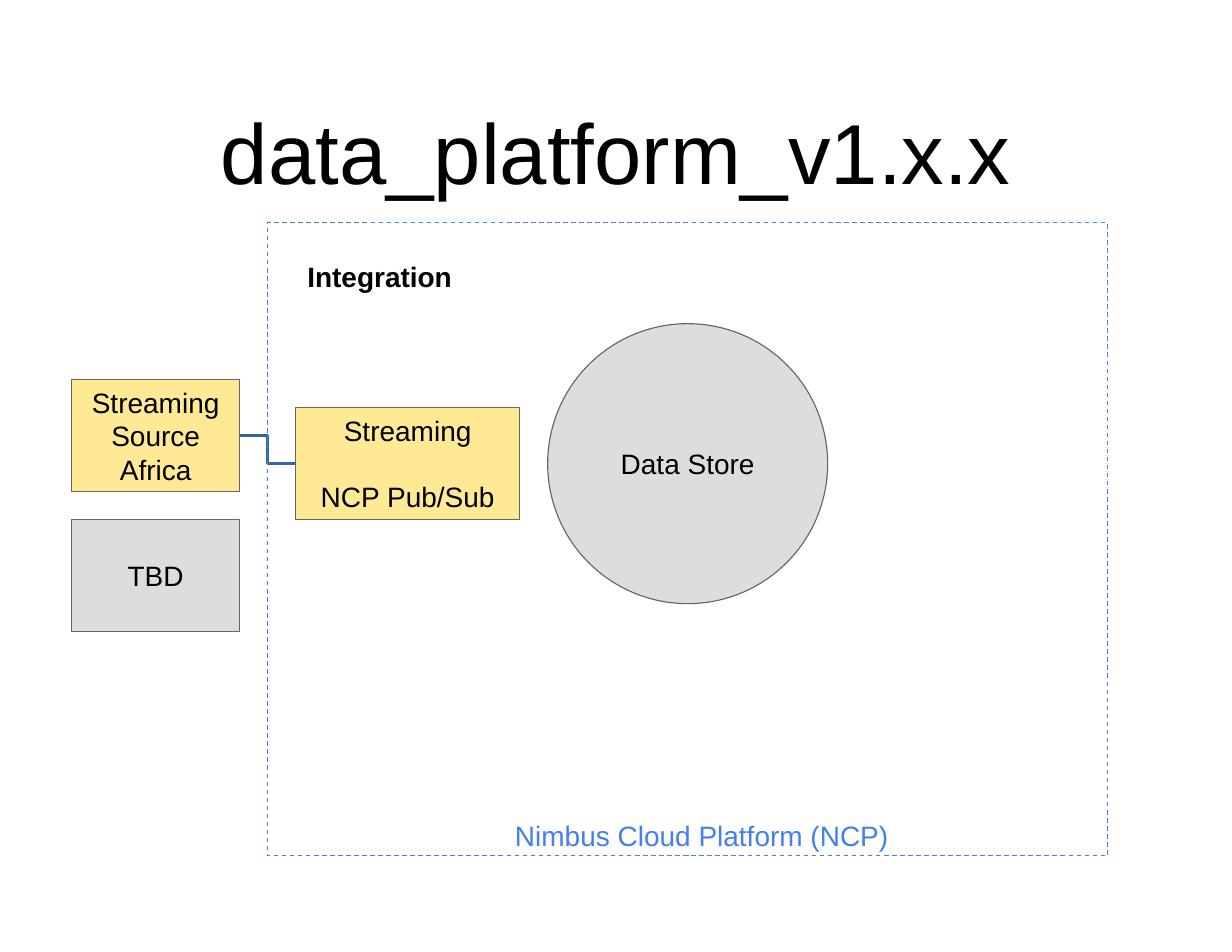
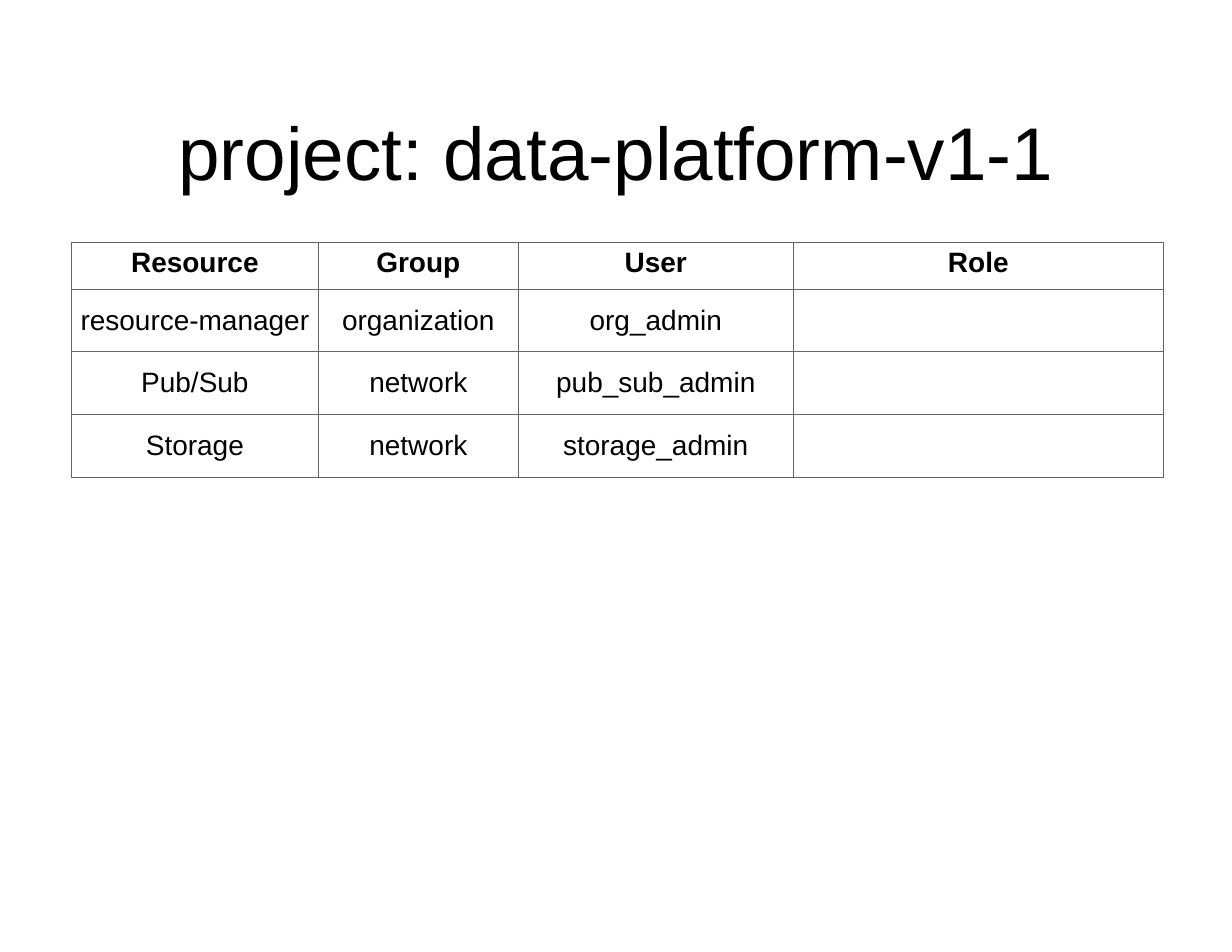
from lxml import etree
from pptx import Presentation
from pptx.dml.color import RGBColor
from pptx.enum.dml import MSO_LINE
from pptx.enum.shapes import MSO_CONNECTOR, MSO_SHAPE
from pptx.enum.text import MSO_ANCHOR, PP_ALIGN
from pptx.oxml.ns import qn
from pptx.util import Inches, Pt

RECT, OVAL = MSO_SHAPE.RECTANGLE, MSO_SHAPE.OVAL
ELBOW, DASH = MSO_CONNECTOR.ELBOW, MSO_LINE.DASH
TOP, MID, CENTER = MSO_ANCHOR.TOP, MSO_ANCHOR.MIDDLE, PP_ALIGN.CENTER
LEFT, RIGHT = 1, 3

HUES = {"ink": "000000", "edge": "666666", "gold": "FFE994",
        "gray": "DDDDDD", "blue": "4280EF", "link": "3465A4"}
FONT = "Arial"
BODY = 18
LINE = 20.7
PAD = (0.1, 0.05)
EDGE = 0.64
TITLE = (0.9, 0.7, 9.2, 1.29)

TITLES = [("data_platform_v1.x.x", 54.7), ("project: data-platform-v1-1", 48)]
NODES = {
    "source": (RECT, (EDGE, 3.39, 1.5, 1), "gold", ["Streaming", "Source", "Africa"], 0),
    "tbd": (RECT, (EDGE, 4.64, 1.5, 1), "gray", ["TBD"], 0),
    "stream": (RECT, (2.64, 3.64, 2, 1), "gold", ["Streaming", "NCP Pub/Sub"], LINE),
    "store": (OVAL, (4.89, 2.89, 2.5, 2.5), "gray", ["Data Store"], 0),
}
LINKS = [("source", "stream")]
CLOUD = (2.39, 1.99, 7.5, 5.65)
LABELS = [
    ("Integration", (2.64, 2.27, 1.5, 0.38), {"bold": True}),
    ("Nimbus Cloud Platform (NCP)", (4.39, 7.26, 3.75, 0.38), {"hue": "blue"}),
]
ROWS = [
    ("Resource", "Group", "User", "Role"),
    ("resource-manager", "organization", "org_admin", ""),
    ("Pub/Sub", "network", "pub_sub_admin", ""),
    ("Storage", "network", "storage_admin", ""),
]
COLS = [2.2, 1.79, 2.45, 3.31]
HEAD, ROW = 0.42, 0.56


def color(hue):
    return RGBColor.from_string(HUES[hue])


def inches(box):
    return [Inches(v) for v in box]


def put(item, formats):
    for name, value in formats.items():
        setattr(item, name, value)


def margins(x, y):
    return {"margin_left": Inches(x), "margin_right": Inches(x),
            "margin_top": Inches(y), "margin_bottom": Inches(y)}


def write(frame, lines, size=BODY, hue="ink", bold=False, gap=0):
    for i, text in enumerate(lines):
        par = frame.paragraphs[0] if i == 0 else frame.add_paragraph()
        put(par, {"alignment": CENTER, "space_before": Pt(gap if i else 0)})
        run = par.add_run()
        run.text = text
        put(run.font, {"name": FONT, "size": Pt(size), "bold": bold})
        run.font.color.rgb = color(hue)


def label(slide, text, box, pad=PAD, anchor=TOP, **style):
    frame = slide.shapes.add_textbox(*inches(box)).text_frame
    put(frame, {"word_wrap": True, "vertical_anchor": anchor, **margins(*pad)})
    write(frame, [text], **style)


def outline(shape, hue):
    shape.line.color.rgb = color(hue)
    shape.line.width = Pt(0)


def node(slide, kind, box, fill, lines, gap):
    shape = slide.shapes.add_shape(kind, *inches(box))
    shape.shadow.inherit = False
    shape.fill.solid()
    shape.fill.fore_color.rgb = color(fill)
    outline(shape, "edge")
    put(shape.text_frame, {"word_wrap": True, "vertical_anchor": MID, **margins(*PAD)})
    write(shape.text_frame, lines, gap=gap)
    return shape


def link(slide, start, end):
    wire = slide.shapes.add_connector(ELBOW, 0, 0, 0, 0)
    wire.begin_connect(start, RIGHT)
    wire.end_connect(end, LEFT)
    outline(wire, "link")
    etree.SubElement(wire._element.spPr, qn("a:effectLst"))


def border(cell):
    props = cell._tc.get_or_add_tcPr()
    for i, side in enumerate(("lnL", "lnR", "lnT", "lnB")):
        line = etree.Element(qn("a:" + side), w=str(Pt(0.57)))
        fill = etree.SubElement(line, qn("a:solidFill"))
        etree.SubElement(fill, qn("a:srgbClr"), val=HUES["edge"])
        props.insert(i, line)


def diagram(slide):
    shapes = {name: node(slide, *spec) for name, spec in NODES.items()}
    for start, end in LINKS:
        link(slide, shapes[start], shapes[end])
    cloud = slide.shapes.add_shape(RECT, *inches(CLOUD))
    cloud.shadow.inherit = False
    cloud.fill.background()
    outline(cloud, "blue")
    cloud.line.dash_style = DASH
    for text, box, style in LABELS:
        label(slide, text, box, **style)


def roles(slide):
    high = [HEAD] + [ROW] * (len(ROWS) - 1)
    box = (EDGE, 2.16, sum(COLS), sum(high))
    table = slide.shapes.add_table(len(ROWS), len(COLS), *inches(box)).table
    put(table, {"first_row": False, "horz_banding": False})
    for col, width in zip(table.columns, COLS):
        col.width = Inches(width)
    for r, (row, height) in enumerate(zip(table.rows, high)):
        row.height = Inches(height)
        for cell, text in zip(row.cells, ROWS[r]):
            put(cell, {"vertical_anchor": MID if r else TOP, **margins(0.04, 0.05)})
            cell.fill.background()
            border(cell)
            if text:
                write(cell.text_frame, [text], bold=r == 0)


def main():
    deck = Presentation()
    put(deck, {"slide_width": Inches(11), "slide_height": Inches(8.5)})
    for (text, size), draw in zip(TITLES, (diagram, roles)):
        slide = deck.slides.add_slide(deck.slide_layouts[6])
        label(slide, text, TITLE, pad=(0, 0), anchor=MID, size=size)
        draw(slide)
    deck.save("out.pptx")


if __name__ == "__main__":
    main()
